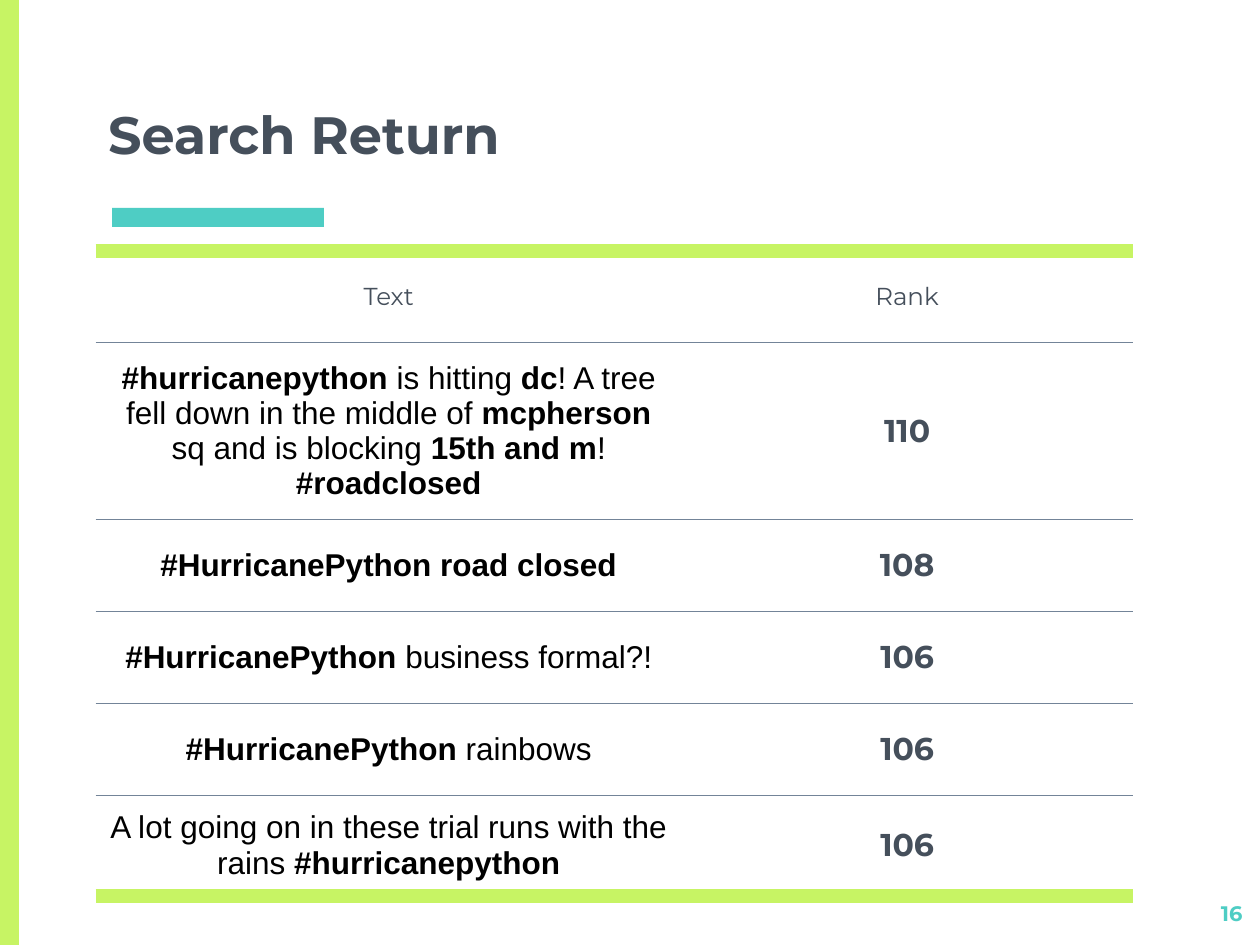
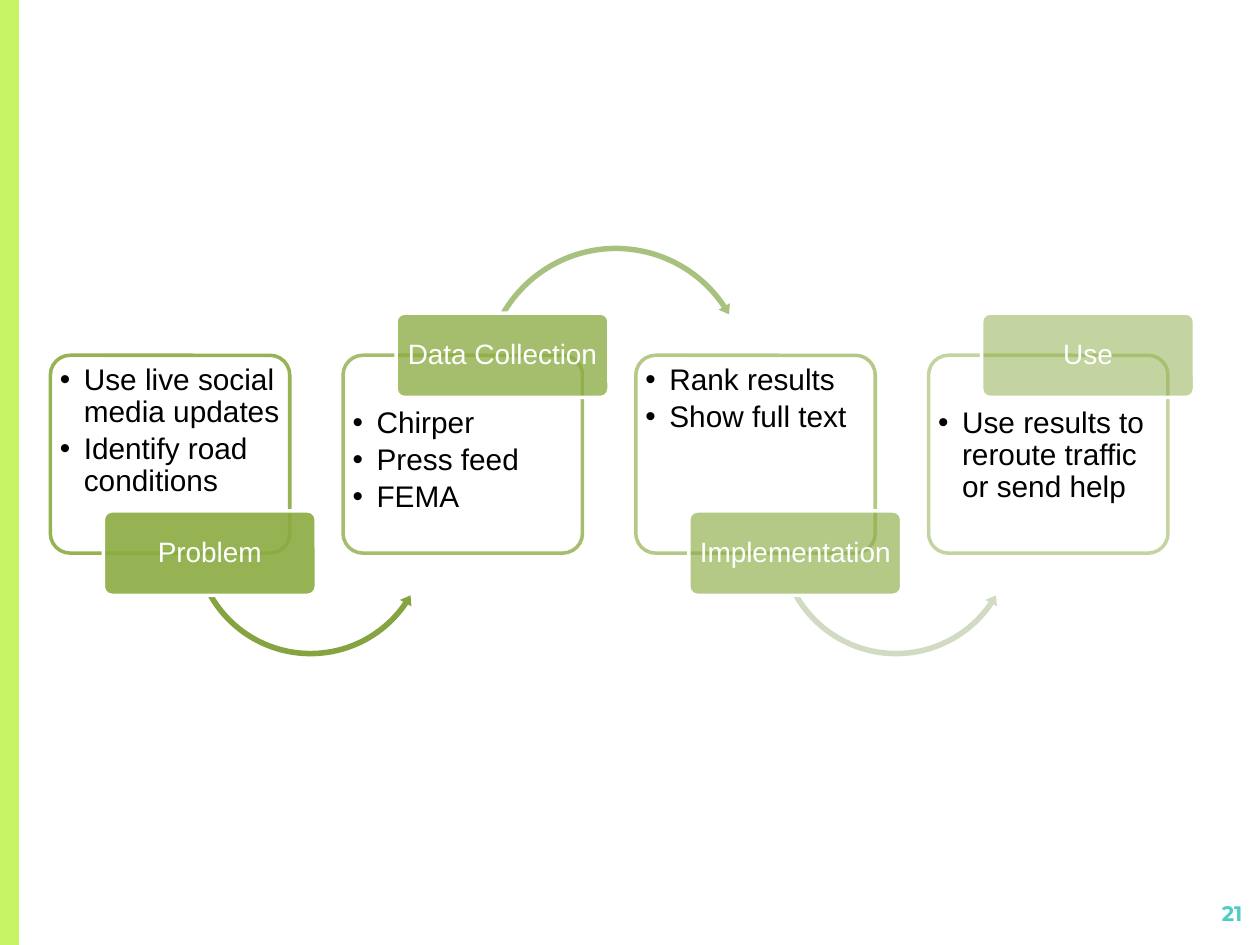
from dataclasses import dataclass

from lxml.etree import SubElement
from pptx import Presentation
from pptx.dml.color import RGBColor
from pptx.enum.shapes import MSO_SHAPE as Preset
from pptx.enum.text import MSO_ANCHOR as Anchor, PP_ALIGN as Align
from pptx.oxml.ns import qn
from pptx.util import Inches, Pt


@dataclass(frozen=True)
class Theme:
    lime: str = "C7F464"
    teal: str = "4ECDC4"
    slate: str = "454F5B"
    rule: str = "738498"
    green: str = "8BAB42"
    white: str = "FFFFFF"
    black: str = "000000"
    heading_font: str = "Montserrat"
    body_font: str = "Arial"
    title_size: float = 30
    cell_size: float = 18
    bullet_size: float = 17
    label_size: float = 16
    header_size: float = 14
    number_size: float = 12


theme = Theme()

HEADERS = ["Text", "Rank"]
RESULTS = [
    ([("#hurricanepython ", True), ("is hitting ", False), ("dc", True),
      ("! A tree fell down in the middle of ", False), ("mcpherson ", True),
      ("sq and is blocking ", False), ("15th and m", True), ("! ", False),
      ("#roadclosed", True)], "110"),
    ([("#HurricanePython road closed", True)], "108"),
    ([("#HurricanePython", True), (" business formal?!", False)], "106"),
    ([("#HurricanePython", True), (" rainbows", False)], "106"),
    ([("A lot going on in these trial runs with the rains ", False),
      ("#hurricanepython", True)], "106"),
]
COLUMN_WIDTHS = [4.65, 3.58]
ROW_HEIGHTS = [0.73, 1.09, 0.73, 0.73, 0.73, 0.73]

STEPS = [
    ("Problem", ["Use live social media updates", "Identify road conditions"], 90, "85A33F"),
    ("Data Collection", ["Chirper", "Press feed", "FEMA"], 77, "A9C17E"),
    ("Implementation", ["Rank results", "Show full text"], 63, "D0DBC1"),
    ("Use", ["Use results to reroute traffic or send help"], 50, None),
]
FIRST_CARD, LAST_CARD, CARD_TOP = 0.4, 7.37, 2.82
CARD_WIDTH, CARD_HEIGHT = 1.9, 1.57
LABEL_WIDTH, LABEL_HEIGHT, LABEL_SHIFT = 1.69, 0.67, 0.42
ARROW_BELOW = (Preset.LEFT_CIRCULAR_ARROW, 1.1, 3.31, 1.93,
               [0.023, 2.74, 20.496, 90.245, 0.027])
ARROW_ABOVE = (Preset.CIRCULAR_ARROW, 1.08, 1.92, 2.17,
               [0.02, 2.419, 195.826, 125.755, 0.024])


def set_color(fill, color, opacity=100):
    fill.solid()
    fill.fore_color.rgb = RGBColor.from_string(color)
    if opacity < 100:
        element = fill._xPr.find(qn("a:solidFill"))[0]
        SubElement(element, qn("a:alpha"), val=str(opacity * 1000))


def add_shape(slide, preset, box, color, opacity=100, line=None, line_opacity=100,
              adjustments=()):
    shape = slide.shapes.add_shape(preset, *map(Inches, box))
    shape.shadow.inherit = False
    for index, value in enumerate(adjustments):
        shape.adjustments[index] = value
    set_color(shape.fill, color, opacity)
    if line:
        shape.line.width = Pt(2)
        set_color(shape.line.fill, line, line_opacity)
    else:
        shape.line.fill.background()
    return shape


def add_run(paragraph, text, size, color, font=theme.body_font, bold=False):
    run = paragraph.add_run()
    run.text = text
    run.font.size = Pt(size)
    run.font.name = font
    run.font.bold = bold
    run.font.color.rgb = RGBColor.from_string(color)


def set_frame(frame, anchor, left, top, right, bottom):
    frame.word_wrap = True
    frame.vertical_anchor = anchor
    frame.margin_left, frame.margin_top = Inches(left), Inches(top)
    frame.margin_right, frame.margin_bottom = Inches(right), Inches(bottom)


def add_heading_text(slide, box, text, size, color, anchor, align):
    frame = slide.shapes.add_textbox(*map(Inches, box)).text_frame
    set_frame(frame, anchor, 0.1, 0.1, 0.1, 0.1)
    paragraph = frame.paragraphs[0]
    paragraph.alignment = align
    add_run(paragraph, text, size, color, theme.heading_font, True)


def add_slide(presentation, number):
    slide = presentation.slides.add_slide(presentation.slide_layouts[6])
    add_shape(slide, Preset.RECTANGLE, (0, 0, 0.15, 7.5), theme.lime)
    add_heading_text(slide, (9.36, 7.05, 0.6, 0.45), number, theme.number_size,
                     theme.teal, Anchor.TOP, Align.RIGHT)
    return slide


def add_title(slide, text):
    add_shape(slide, Preset.RECTANGLE, (0.89, 1.65, 1.68, 0.15), theme.teal)
    add_heading_text(slide, (0.76, 0.69, 8.49, 0.72), text, theme.title_size,
                     theme.slate, Anchor.BOTTOM, Align.LEFT)


def set_borders(cell, top, bottom):
    properties = cell._tc.get_or_add_tcPr()
    for side, border in (("L", None), ("R", None), ("T", top), ("B", bottom)):
        line = SubElement(properties, qn(f"a:ln{side}"))
        if border:
            color, width = border
            line.set("w", str(Pt(width)))
            fill = SubElement(line, qn("a:solidFill"))
            SubElement(fill, qn("a:srgbClr"), val=color)
        else:
            SubElement(line, qn("a:noFill"))


def add_results_table(slide):
    rows, columns = len(ROW_HEIGHTS), len(COLUMN_WIDTHS)
    table = slide.shapes.add_table(
        rows, columns, Inches(0.76), Inches(1.99),
        Inches(sum(COLUMN_WIDTHS)), Inches(sum(ROW_HEIGHTS))).table
    table.horz_banding = False
    for column, width in zip(table.columns, COLUMN_WIDTHS):
        column.width = Inches(width)
    header_style = (theme.header_size, theme.slate, theme.heading_font)
    text_style = (theme.cell_size, theme.black, theme.body_font)
    rank_style = (theme.cell_size, theme.slate, theme.heading_font)
    contents = [[([(header, False)], header_style) for header in HEADERS]]
    contents += [[(runs, text_style), ([(rank, True)], rank_style)]
                 for runs, rank in RESULTS]
    edge, rule = (theme.lime, 9), (theme.rule, 0.75)
    for row, entries in enumerate(contents):
        table.rows[row].height = Inches(ROW_HEIGHTS[row])
        for column, (runs, style) in enumerate(entries):
            cell = table.cell(row, column)
            set_borders(cell, edge if row == 0 else rule,
                        edge if row == rows - 1 else rule)
            cell.fill.background()
            cell.vertical_anchor = Anchor.MIDDLE
            cell.margin_left = cell.margin_right = Inches(0.1)
            cell.margin_top = cell.margin_bottom = Inches(0.1)
            paragraph = cell.text_frame.paragraphs[0]
            paragraph.alignment = Align.CENTER
            for text, bold in runs:
                add_run(paragraph, text, *style, bold)


def add_bullets(frame, items):
    for index, item in enumerate(items):
        paragraph = frame.add_paragraph() if index else frame.paragraphs[0]
        paragraph.alignment = Align.LEFT
        paragraph.line_spacing = 0.9
        paragraph.space_after = Pt(2.8)
        properties = paragraph._p.get_or_add_pPr()
        properties.set("marL", str(Inches(0.19)))
        properties.set("indent", str(Inches(-0.19)))
        SubElement(properties, qn("a:buFont"), typeface=theme.body_font)
        SubElement(properties, qn("a:buChar"), char="•")
        add_run(paragraph, item, theme.bullet_size, theme.black)


def add_step(slide, index, label_text, items, opacity, arrow_color):
    left = FIRST_CARD + index * (LAST_CARD - FIRST_CARD) / (len(STEPS) - 1)
    label_below = index % 2 == 0

    card = add_shape(slide, Preset.ROUNDED_RECTANGLE,
                     (left, CARD_TOP, CARD_WIDTH, CARD_HEIGHT), theme.white, 90,
                     theme.green, opacity, [0.1])
    set_frame(card.text_frame, Anchor.TOP, 0.03, 0.03 if label_below else 0.37, 0.03, 0.03)
    add_bullets(card.text_frame, items)

    if arrow_color:
        preset, shift, top, size, adjustments = ARROW_BELOW if label_below else ARROW_ABOVE
        add_shape(slide, preset, (left + shift, top, size, size), arrow_color,
                  adjustments=adjustments)

    label_center = CARD_TOP + (CARD_HEIGHT if label_below else 0)
    label = add_shape(slide, Preset.ROUNDED_RECTANGLE,
                      (left + LABEL_SHIFT, label_center - LABEL_HEIGHT / 2,
                       LABEL_WIDTH, LABEL_HEIGHT),
                      theme.green, opacity, theme.white, adjustments=[0.1])
    set_frame(label.text_frame, Anchor.MIDDLE, 0.03, 0.02, 0.03, 0.02)
    paragraph = label.text_frame.paragraphs[0]
    paragraph.alignment = Align.CENTER
    paragraph.line_spacing = 0.9
    add_run(paragraph, label_text, theme.label_size, theme.white)


presentation = Presentation()
presentation.slide_width, presentation.slide_height = Inches(10), Inches(7.5)

results_slide = add_slide(presentation, "16")
add_title(results_slide, "Search Return")
add_results_table(results_slide)

process_slide = add_slide(presentation, "21")
for index, step in enumerate(STEPS):
    add_step(process_slide, index, *step)

presentation.save("out.pptx")
